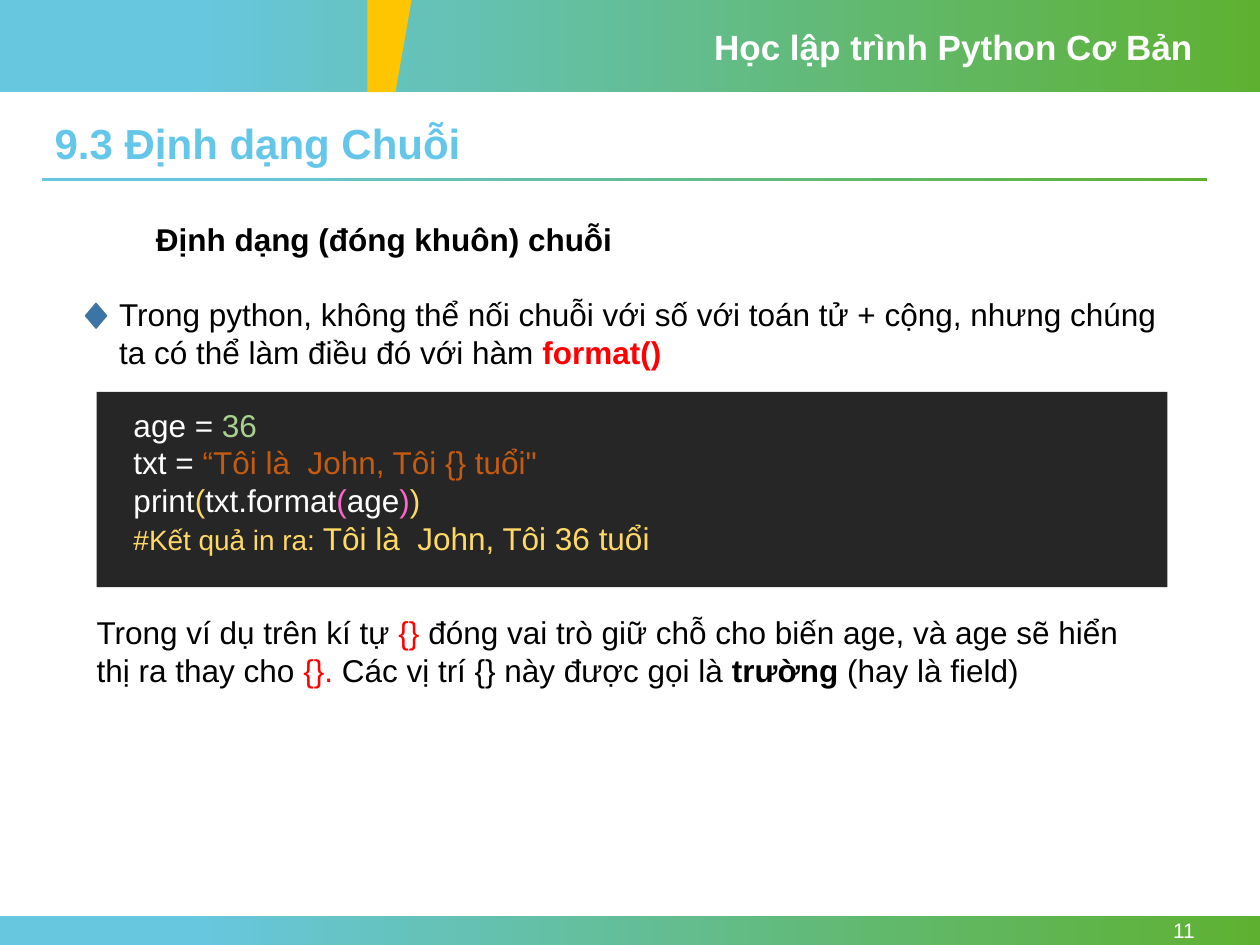
"""Build the slide on formatting strings in Python."""
from pptx import Presentation
from pptx.dml.color import RGBColor
from pptx.enum.shapes import MSO_SHAPE
from pptx.enum.text import MSO_ANCHOR, PP_ALIGN
from pptx.util import Pt

WHITE, BLACK, RED = "FFFFFF", "000000", "FF0000"
GREEN, ORANGE, YELLOW, PINK = "A9D18E", "C55A11", "FFD966", "FF66CC"


def color(hex_string):
    return RGBColor.from_string(hex_string)


def write(frame, lines):
    frame.word_wrap = True
    for index, line in enumerate(lines):
        paragraph = frame.paragraphs[0] if index == 0 else frame.add_paragraph()
        for text, size, hex_string, bold in line:
            run = paragraph.add_run()
            run.text = text
            run.font.name = "Arial"
            run.font.size = Pt(size)
            run.font.bold = bold
            run.font.color.rgb = color(hex_string)


presentation = Presentation()
presentation.slide_width = Pt(720)
presentation.slide_height = Pt(540)
slide = presentation.slides.add_slide(presentation.slide_layouts[5])
shapes = slide.shapes

bands = [(0, 0, 720, 52.6), (0, 523.4, 720, 16.6), (24, 101.5, 666, 1.8)]
for band in bands:
    shape = shapes.add_shape(MSO_SHAPE.RECTANGLE, *map(Pt, band))
    shape.shadow.inherit = False
    shape.line.fill.background()
    shape.fill.gradient()
    shape.fill.gradient_angle = 0
    stops = zip(shape.fill.gradient_stops, (0.15, 1), ("67C7DF", "5EB130"))
    for stop, position, hex_string in stops:
        stop.position = position
        stop.color.rgb = color(hex_string)

builder = shapes.build_freeform(Pt(210), 0)
builder.add_line_segments([(Pt(235.2), 0), (Pt(226), Pt(52.6)), (Pt(210), Pt(52.6))])
accent = builder.convert_to_shape()
accent.shadow.inherit = False
accent.fill.solid()
accent.fill.fore_color.rgb = color("FFC500")
accent.line.fill.background()

title = shapes.title
title.left, title.top, title.width, title.height = map(Pt, (24, 67, 666, 33))
title.text_frame.vertical_anchor = MSO_ANCHOR.MIDDLE
write(title.text_frame, [[("9.3 Định dạng Chuỗi", 24, "64C7E9", True)]])
title.text_frame.paragraphs[0].alignment = PP_ALIGN.LEFT
title.text_frame.paragraphs[0].line_spacing = 0.9

code_panel = shapes.add_shape(MSO_SHAPE.RECTANGLE, Pt(55.2), Pt(224), Pt(612), Pt(111.6))
code_panel.shadow.inherit = False
code_panel.fill.solid()
code_panel.fill.fore_color.rgb = color("262626")
code_panel.line.fill.background()

diamond = shapes.add_shape(
    MSO_SHAPE.FLOWCHART_DECISION, Pt(49), Pt(173.5), Pt(11.8), Pt(13.9))
diamond.shadow.inherit = False
diamond.fill.solid()
diamond.fill.fore_color.rgb = color("3A75A6")
diamond.line.color.rgb = color("43739E")
diamond.line.width = Pt(1)

text_boxes = [
    ((401, 10.8, 288, 31.7), [[("Học lập trình Python Cơ Bản", 20, WHITE, True)]]),
    ((82, 122.4, 506, 29), [[("Định dạng (đóng khuôn) chuỗi", 18, BLACK, True)]]),
    ((61, 165, 617, 51), [[
        ("Trong python, không thể nối chuỗi với số với toán tử + cộng, "
         "nhưng chúng ta có thể làm điều đó với hàm ", 18, BLACK, False),
        ("format()", 18, RED, True),
    ]]),
    ((69.2, 228.2, 583, 94.3), [
        [("age = ", 18, WHITE, False), ("36", 18, GREEN, False)],
        [("txt = ", 18, WHITE, False),
         ("“Tôi là  John, Tôi {} tuổi\"", 18, ORANGE, False)],
        [("print", 18, WHITE, False), ("(", 18, YELLOW, False),
         ("txt.format", 18, WHITE, False), ("(", 18, PINK, False),
         ("age", 18, WHITE, False), (")", 18, PINK, False),
         (")", 18, YELLOW, False)],
        [("#Kết quả in ra: ", 16, YELLOW, False),
         ("Tôi là  John, Tôi 36 tuổi", 18, YELLOW, False)],
    ]),
    ((48.2, 347, 617, 51), [[
        ("Trong ví dụ trên kí tự ", 18, BLACK, False),
        ("{} ", 18, RED, False),
        ("đóng vai trò giữ chỗ cho biến age, và age sẽ hiển thị ra thay cho ",
         18, BLACK, False),
        ("{}. ", 18, RED, False),
        ("Các vị trí {} này được gọi là ", 18, BLACK, False),
        ("trường", 18, BLACK, True),
        (" (hay là field)", 18, BLACK, False),
    ]]),
]
for bounds, lines in text_boxes:
    write(shapes.add_textbox(*map(Pt, bounds)).text_frame, lines)

page_number = shapes.add_textbox(Pt(623.5), Pt(523.4), Pt(66.3), Pt(16.6)).text_frame
page_number.margin_top = page_number.margin_bottom = 0
page_number.vertical_anchor = MSO_ANCHOR.MIDDLE
write(page_number, [[("11", 12, WHITE, False)]])
page_number.paragraphs[0].alignment = PP_ALIGN.RIGHT

presentation.save("out.pptx")
